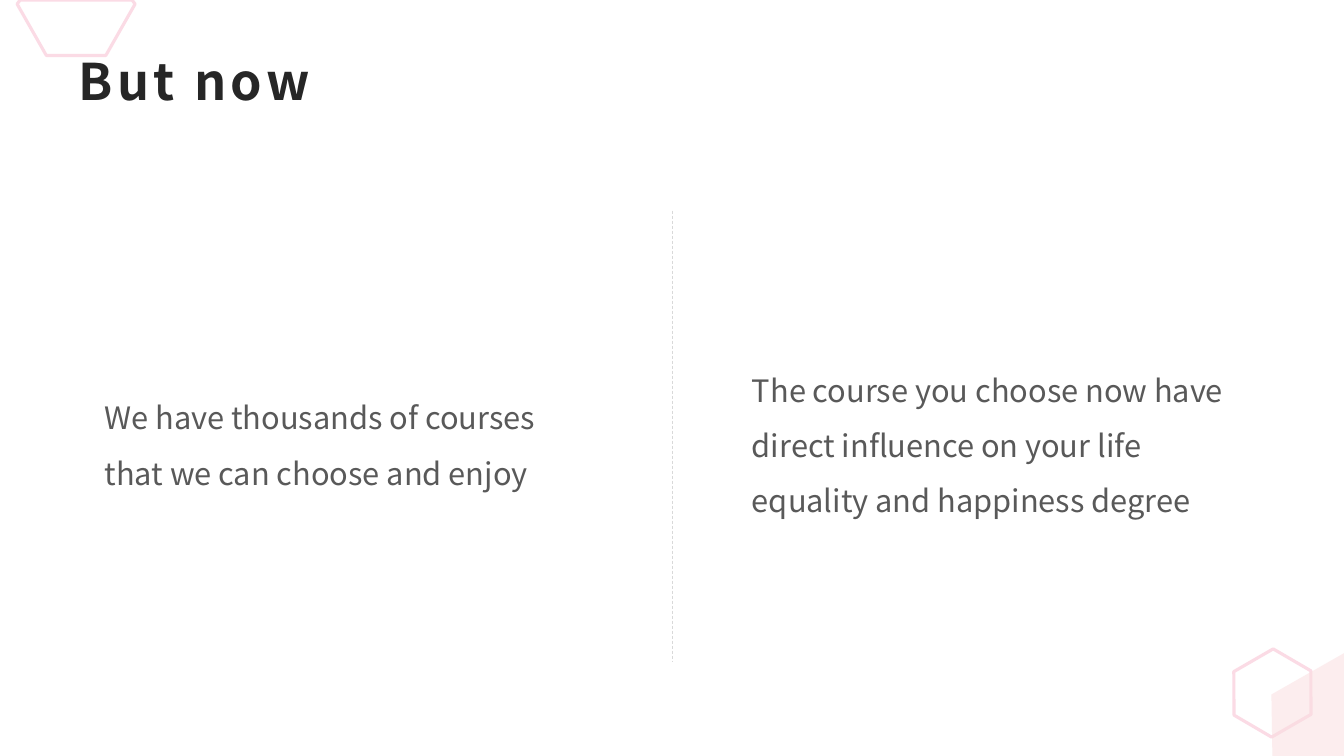
from lxml import etree
from pptx import Presentation
from pptx import util as u
from pptx.dml.color import RGBColor
from pptx.enum import dml, shapes, text
from pptx.oxml.ns import qn

FONT = "Noto Sans CJK SC"
PINK = "FBDBE5"
SLIDE_WIDTH, SLIDE_HEIGHT = 13.33, 7.5


def color(hex_value):
    return RGBColor.from_string(hex_value)


def add_text(slide, box, words, size, hex_value, bold=False, line_spacing=1.0,
             letter_spacing=0, left_inset=0.1, right_inset=0.1, inset=0.05):
    shape = slide.shapes.add_textbox(*map(u.Inches, box))
    frame = shape.text_frame
    frame.word_wrap = True
    frame.vertical_anchor = text.MSO_ANCHOR.MIDDLE
    frame.margin_left, frame.margin_right = u.Inches(left_inset), u.Inches(right_inset)
    frame.margin_top = frame.margin_bottom = u.Inches(inset)
    paragraph = frame.paragraphs[0]
    paragraph.line_spacing = line_spacing
    run = paragraph.add_run()
    run.text = words
    run.font.name = FONT
    run.font.size = u.Pt(size)
    run.font.bold = bold
    run.font.color.rgb = color(hex_value)
    properties = run.font._element
    if letter_spacing:
        properties.set("spc", str(letter_spacing * 100))
    etree.SubElement(properties, qn("a:ea")).set("typeface", FONT)


def add_polygon(slide, left, top, points):
    """Draw a closed outline whose points are inches from left and top."""
    placed = [(round((left + x) * 100), round((top + y) * 100)) for x, y in points]
    builder = slide.shapes.build_freeform(*placed[0], scale=u.Inches(0.01))
    builder.add_line_segments(placed[1:], close=True)
    shape = builder.convert_to_shape()
    shape.shadow.inherit = False
    return shape


def outline(shape):
    shape.fill.background()
    shape.line.color.rgb = color(PINK)
    shape.line.width = u.Pt(2.25)


def add_top_ornament(slide, left, top):
    outline(add_polygon(slide, left, top, [
        (0.03, 0), (1.14, 0), (1.17, 0.04), (0.88, 0.55), (0.29, 0.55), (0, 0.04)]))


def add_corner_ornament(slide, left, top):
    hexagon = slide.shapes.add_shape(
        shapes.MSO_SHAPE.HEXAGON, *map(u.Inches, (left, top, 0.88, 0.75)))
    hexagon.adjustments[0] = 0.286
    hexagon.adjustments[1] = 1.155
    hexagon.rotation = 330
    hexagon.shadow.inherit = False
    outline(hexagon)

    right, bottom = SLIDE_WIDTH - left, SLIDE_HEIGHT - top
    wedge = add_polygon(slide, left, top, [
        (right, -0.02), (right, bottom), (0.44, bottom), (0.43, 0.39)])
    wedge.fill.solid()
    wedge.fill.fore_color.rgb = color("FADEE0")
    wedge.line.fill.background()
    fill_color = wedge._element.spPr.find(qn("a:solidFill"))[0]
    etree.SubElement(fill_color, qn("a:alpha")).set("val", "53000")


def add_divider(slide, x, top, bottom):
    line = slide.shapes.add_connector(
        shapes.MSO_CONNECTOR.STRAIGHT, *map(u.Inches, (x, top, x, bottom)))
    line.line.color.rgb = color("D9D9D9")
    line.line.width = u.Pt(0.5)
    line.line.dash_style = dml.MSO_LINE.DASH
    etree.SubElement(line._element.spPr, qn("a:effectLst"))


def add_comparison(slide, left, top, width, height, statements):
    """Place two statements on either side of a dashed divider."""
    column_width = 5.04
    lefts = (left, left + width - column_width)
    for column_left, statement in zip(lefts, statements):
        add_text(slide, (column_left, top, column_width, height), statement,
                 size=22, hex_value="595959", line_spacing=1.5)
    add_divider(slide, left + width / 2, top, top + height)


def add_title(slide, box, words):
    add_text(slide, box, words, size=36, hex_value="262626", bold=True,
             letter_spacing=3, left_inset=0.11, right_inset=0.08, inset=0.04)


def main():
    presentation = Presentation()
    presentation.slide_width = u.Inches(SLIDE_WIDTH)
    presentation.slide_height = u.Inches(SLIDE_HEIGHT)
    slide = presentation.slides.add_slide(presentation.slide_layouts[6])
    add_corner_ornament(slide, 12.18, 6.5)
    add_top_ornament(slide, 0.17, 0)
    add_comparison(slide, 0.94, 2.09, 11.46, 4.47, (
        "We have thousands of courses that we can choose and enjoy",
        "The course you choose now have direct influence on your life "
        "equality and happiness degree"))
    add_title(slide, (0.67, 0.41, 12, 0.77), "But now")
    presentation.save("out.pptx")


if __name__ == "__main__":
    main()
